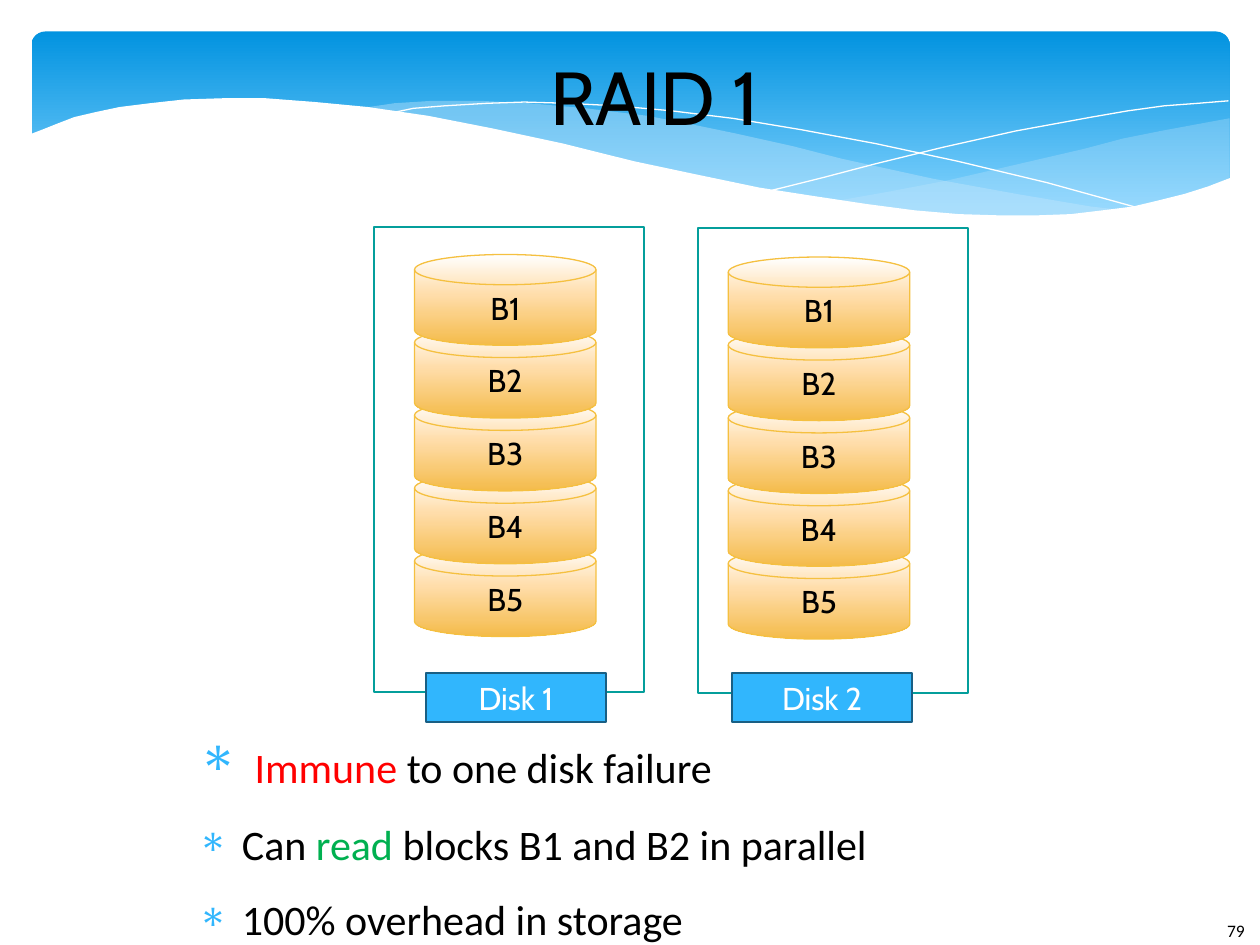
import dataclasses
import typing

import lxml.etree
import pptx
import pptx.dml.color
import pptx.enum.shapes
import pptx.enum.text
import pptx.oxml.ns
import pptx.util

RGBColor = pptx.dml.color.RGBColor
Preset = pptx.enum.shapes.MSO_SHAPE
Align = pptx.enum.text.PP_ALIGN
Anchor = pptx.enum.text.MSO_ANCHOR
qn = pptx.oxml.ns.qn

WHITE = RGBColor(0xFF, 0xFF, 0xFF)
BLACK = RGBColor(0x00, 0x00, 0x00)
RED = RGBColor(0xFF, 0x00, 0x00)
GREEN = RGBColor(0x00, 0xB0, 0x50)
BANNER_TOP = RGBColor(0x02, 0x93, 0xE0)
BANNER_BOTTOM = RGBColor(0x83, 0xD3, 0xFE)
PALE_BLUE = RGBColor(0xC6, 0xE7, 0xFC)
SKY = RGBColor(0x31, 0xB6, 0xFD)
NAVY = RGBColor(0x19, 0x5F, 0x84)
TEAL = RGBColor(0x04, 0x9E, 0x9B)
GOLD = RGBColor(0xF5, 0xC0, 0x40)
PEACH = RGBColor(0xFF, 0xDD, 0xAA)
AMBER = RGBColor(0xF4, 0xBB, 0x4A)

SLIDE_WIDTH = pptx.util.Inches(10)
SLIDE_HEIGHT = pptx.util.Inches(7.5)
COLUMN = SLIDE_WIDTH / 100
ROW = SLIDE_HEIGHT / 75

Point = tuple[float, float]
Stops = tuple[tuple[int, RGBColor], ...]
Run = tuple[str, RGBColor, float]
BANNER_STOPS: Stops = ((0, BANNER_TOP), (90, BANNER_BOTTOM))
CYLINDER_STOPS: Stops = ((0, WHITE), (44, PEACH), (100, AMBER))


@dataclasses.dataclass(frozen=True)
class Cells:
    column: float
    row: float
    columns: float
    rows: float

    def lengths(self) -> tuple[int, int, int, int]:
        return (round(self.column * COLUMN), round(self.row * ROW),
                round(self.columns * COLUMN), round(self.rows * ROW))


@dataclasses.dataclass(frozen=True)
class Wave:
    points: tuple[Point, ...]
    fill: typing.Optional[RGBColor] = None
    opacity: int = 100


@dataclasses.dataclass(frozen=True)
class Disk:
    label: str
    frame: Cells
    stack_column: float
    stack_row: float
    label_column: float


WAVES = (
    Wave(((97.5, 9.4), (94.8, 9.9), (92.1, 10.4), (89.1, 11), (86.1, 11.8), (80.5, 13.1),
          (75.3, 14.3), (70.6, 15.2), (66.1, 16), (69.1, 16.4), (71.9, 16.7), (74.5, 16.9),
          (76.9, 17.1), (80.3, 17.2), (83.5, 17.2), (86.3, 17), (88.9, 16.6), (91.3, 16.2),
          (93.5, 15.6), (96.3, 14.7), (97.6, 14.1), (97.6, 9.4)), PALE_BLUE, 29),
    Wave(((89.3, 16.7), (86.6, 16.4), (80.7, 15.4), (74.1, 14.2), (66.8, 12.6), (62.9, 11.6),
          (58.4, 10.6), (55.5, 10), (51.4, 9.2), (46.5, 8.6), (42, 8.2), (38, 8),
          (34.4, 8), (31.3, 8.2), (28.6, 8.6), (32.3, 9), (36.2, 9.7), (40.4, 10.6),
          (44.9, 11.6), (53, 13.5), (60.1, 15), (66.5, 16.1), (70.9, 16.6), (74.8, 17),
          (78.5, 17.2), (81.8, 17.3), (84.8, 17.2), (87.6, 16.9)), PALE_BLUE, 40),
    Wave(((30.9, 9), (32.8, 8.6), (35.3, 8.4), (38.7, 8.2), (41.6, 8.1), (45, 8.2),
          (48.9, 8.4), (53.3, 8.8), (58.2, 9.4), (63.6, 10.3), (69.5, 11.4), (76, 12.8),
          (83.1, 14.5), (90.7, 16.6))),
    Wave(((61.3, 15.1), (65.3, 14.1), (69.5, 13), (74.8, 11.7), (80.6, 10.4), (86.6, 9.3),
          (89.5, 8.8), (92.4, 8.4), (95.1, 8.2), (97.5, 8))),
    Wave(((97.7, 14.1), (95.9, 14.8), (94, 15.4), (92, 15.9), (89.9, 16.4), (87.5, 16.7),
          (85, 17), (82.3, 17.1), (79.3, 17.1), (76.1, 17), (72.6, 16.7), (68.8, 16.2),
          (64.8, 15.6), (60.3, 14.9), (55.5, 13.9), (50.3, 12.8), (44.7, 11.4), (39.1, 10.2),
          (34, 9.2), (29.2, 8.5), (25, 8.1), (21.1, 7.8), (17.7, 7.8), (14.6, 7.9),
          (11.9, 8.2), (9.5, 8.5), (7.6, 8.9), (5.9, 9.3), (4.6, 9.8), (3.6, 10.2),
          (2.3, 10.7), (2.3, 22.4), (97.7, 22.4)), WHITE),
)

BLOCKS = ("B1", "B2", "B3", "B4", "B5")
BLOCK_PITCH = 5.78
DISKS = (
    Disk("Disk 1", Cells(29.7, 18, 21.4, 36.9), 32.9, 20.2, 33.8),
    Disk("Disk 2", Cells(55.4, 18.1, 21.4, 36.9), 57.8, 20.4, 58.1),
)
POINTS: tuple[tuple[Run, ...], ...] = (
    ((" ", BLACK, 32), ("Immune ", RED, 24), ("to one disk failure", BLACK, 24)),
    (("Can ", BLACK, 24), ("read", GREEN, 24), (" blocks B1 and B2 in parallel", BLACK, 24)),
    (("100% overhead in storage", BLACK, 24),),
)


def set_gradient(fill, stops: Stops) -> None:
    fill.gradient()
    fill.gradient_angle = 270
    stop_list = fill._xPr.find(".//" + qn("a:gsLst"))
    stop_list.clear()
    for percent, color in stops:
        stop = lxml.etree.SubElement(stop_list, qn("a:gs"), pos=str(percent * 1000))
        lxml.etree.SubElement(stop, qn("a:srgbClr"), val=str(color))


def add_preset(slide, preset, cells: Cells, fill: typing.Union[RGBColor, Stops],
               line: typing.Optional[RGBColor] = None, line_points: float = 1.25):
    shape = slide.shapes.add_shape(preset, *cells.lengths())
    shape.shadow.inherit = False
    if isinstance(fill, RGBColor):
        shape.fill.solid()
        shape.fill.fore_color.rgb = fill
    else:
        set_gradient(shape.fill, fill)
    if line is None:
        shape.line.fill.background()
    else:
        shape.line.color.rgb = line
        shape.line.width = pptx.util.Pt(line_points)
    return shape


def write_label(shape, text: str, size: float, color: RGBColor, font_name: str = "Cabin",
                alignment=Align.CENTER, anchor=Anchor.MIDDLE) -> None:
    shape.text_frame.vertical_anchor = anchor
    shape.text_frame.word_wrap = True
    paragraph = shape.text_frame.paragraphs[0]
    paragraph.text = text
    paragraph.alignment = alignment
    paragraph.font.name = font_name
    paragraph.font.size = pptx.util.Pt(size)
    paragraph.font.color.rgb = color


def add_text_box(slide, cells: Cells, inset: bool = False):
    box = slide.shapes.add_textbox(*cells.lengths())
    frame = box.text_frame
    frame.word_wrap = True
    if not inset:
        frame.margin_left = frame.margin_right = frame.margin_top = frame.margin_bottom = 0
    return box


def draw_wave(slide, wave: Wave) -> None:
    vertices = [(round(x * COLUMN), round(y * ROW)) for x, y in wave.points]
    builder = slide.shapes.build_freeform(*vertices[0])
    builder.add_line_segments(vertices[1:], close=wave.fill is not None)
    shape = builder.convert_to_shape()
    shape.shadow.inherit = False
    if wave.fill is None:
        shape.fill.background()
        shape.line.color.rgb = WHITE
        shape.line.width = 0
        return
    shape.fill.solid()
    shape.fill.fore_color.rgb = wave.fill
    shape.line.fill.background()
    if wave.opacity < 100:
        color = shape.fill._xPr.find(".//" + qn("a:srgbClr"))
        lxml.etree.SubElement(color, qn("a:alpha"), val=str(wave.opacity * 1000))


def draw_disk(slide, disk: Disk) -> None:
    add_preset(slide, Preset.FLOWCHART_PROCESS, disk.frame, WHITE, TEAL)
    for index, block in reversed(list(enumerate(BLOCKS))):
        cells = Cells(disk.stack_column, disk.stack_row + index * BLOCK_PITCH, 14.4, 7.2)
        cylinder = add_preset(slide, Preset.FLOWCHART_MAGNETIC_DISK, cells,
                              CYLINDER_STOPS, GOLD, 0.75)
        write_label(cylinder, block, 18, BLACK)
    label = add_preset(slide, Preset.FLOWCHART_PROCESS,
                       Cells(disk.label_column, 53.4, 14.3, 3.9), SKY, NAVY)
    write_label(label, disk.label, 18, WHITE)


def write_point(paragraph, runs: tuple[Run, ...]) -> None:
    properties = paragraph._p.get_or_add_pPr()
    properties.set("marL", str(pptx.util.Inches(0.47)))
    properties.set("indent", str(pptx.util.Inches(-0.35)))
    paragraph.space_after = pptx.util.Pt(14.1)
    bullet_color = lxml.etree.SubElement(properties, qn("a:buClr"))
    lxml.etree.SubElement(bullet_color, qn("a:srgbClr"), val=str(SKY))
    lxml.etree.SubElement(properties, qn("a:buChar"), char="∗")
    paragraph.font.name = "Calibri"
    for text, color, size in runs:
        run = paragraph.add_run()
        run.text = text
        run.font.size = pptx.util.Pt(size)
        run.font.color.rgb = color


def main() -> None:
    presentation = pptx.Presentation()
    presentation.slide_width = SLIDE_WIDTH
    presentation.slide_height = SLIDE_HEIGHT
    slide = presentation.slides.add_slide(presentation.slide_layouts[6])
    banner = add_preset(slide, Preset.ROUNDED_RECTANGLE, Cells(2.5, 2.5, 95.1, 15.6), BANNER_STOPS)
    banner.adjustments[0] = 0.07
    for wave in WAVES:
        draw_wave(slide, wave)
    write_label(add_text_box(slide, Cells(96.4, 72.5, 6.1, 4), inset=True), "79", 10, BLACK,
                "Calibri", Align.LEFT, Anchor.TOP)
    write_label(add_text_box(slide, Cells(11.4, 2.5, 81.1, 10.2)), "RAID 1", 42.9, BLACK)
    for disk in DISKS:
        draw_disk(slide, disk)
    frame = add_text_box(slide, Cells(14.5, 57.7, 87.6, 15.1)).text_frame
    for index, runs in enumerate(POINTS):
        write_point(frame.add_paragraph() if index else frame.paragraphs[0], runs)
    presentation.save("out.pptx")


if __name__ == "__main__":
    main()
